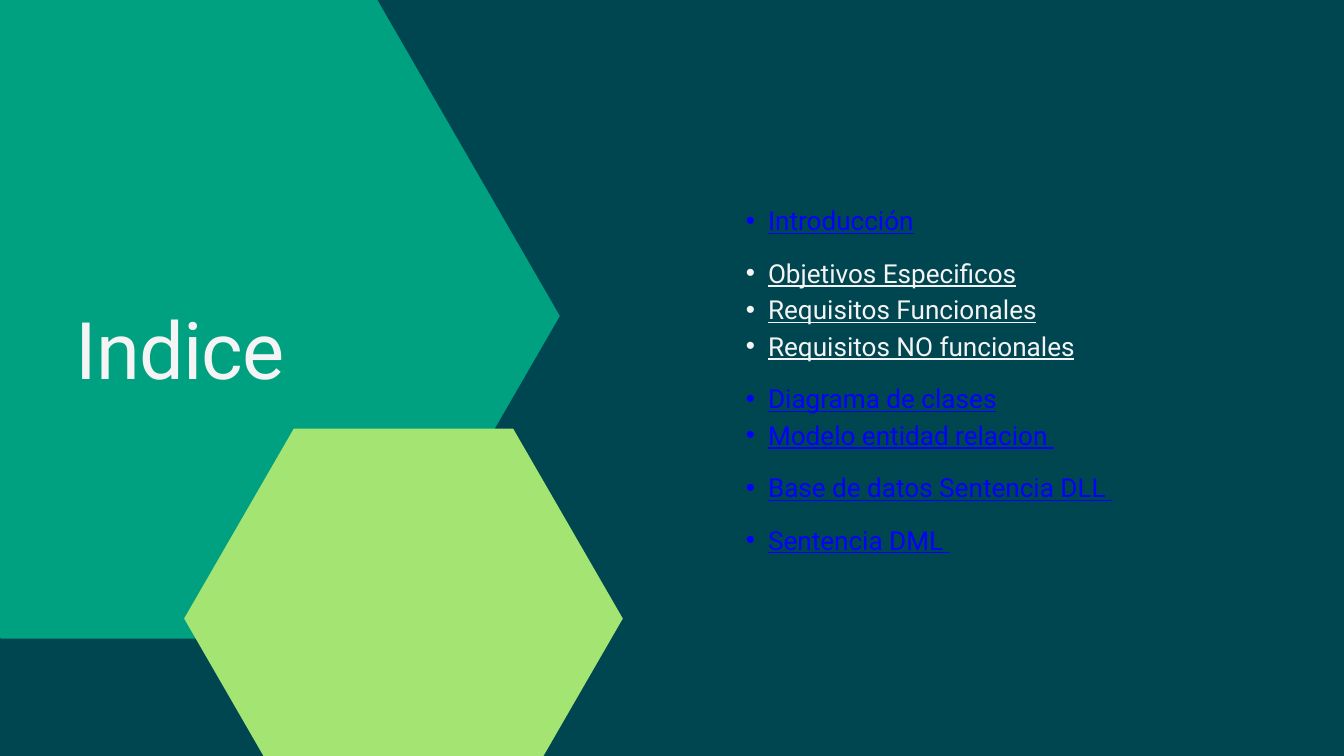
from math import sqrt
from lxml.etree import SubElement
from pptx import Presentation
from pptx.dml.color import RGBColor
from pptx.enum.text import MSO_ANCHOR, MSO_AUTO_SIZE, PP_ALIGN
from pptx.oxml.ns import qn
from pptx.util import Pt

TITLE = "Indice"
WHITE, BLUE = "F4F4F4", "0000FF"
GROUPS = [
    (BLUE, ["Introducción"]),
    (WHITE, ["Objetivos Especificos", "Requisitos Funcionales",
             "Requisitos NO funcionales"]),
    (BLUE, ["Diagrama de clases", "Modelo entidad relacion "]),
    (BLUE, ["Base de datos Sentencia DLL "]),
    (BLUE, ["Sentencia DML "]),
]
HEXES = [
    (-198.7, -7.2, 798.5, "00A181"),
    (197.3, 459.2, 470, "A4E473"),
]
LINE, GAP = 39.2, 16.9
INDENT, HANG = 47.5, 23.75


def paint(fill, color):
    fill.solid()
    fill.fore_color.rgb = RGBColor.from_string(color)


def add_hex(slide, left, top, width, color):
    high = width * sqrt(3) / 2
    spots = [(1, 0.5), (0.75, 1), (0.25, 1), (0, 0.5), (0.25, 0), (0.75, 0)]
    points = [(Pt(left + x * width), Pt(top + y * high)) for x, y in spots]
    path = slide.shapes.build_freeform(*points[0])
    path.add_line_segments(points[1:], close=True)
    shape = path.convert_to_shape()
    shape.shadow.inherit = False
    shape.line.fill.background()
    paint(shape.fill, color)
    return shape


def place(holder, left, top, width, height):
    holder.left, holder.top = Pt(left), Pt(top)
    holder.width, holder.height = Pt(width), Pt(height)
    frame = holder.text_frame
    frame.margin_left = frame.margin_right = 0
    frame.margin_top = frame.margin_bottom = 0
    frame.vertical_anchor = MSO_ANCHOR.TOP
    frame.auto_size = MSO_AUTO_SIZE.NONE
    frame.word_wrap = True
    return frame


def style(para, size, color, line, before=0):
    para.alignment = PP_ALIGN.LEFT
    para.line_spacing = Pt(line)
    para.space_before = Pt(before)
    para.space_after = Pt(0)
    font = para.runs[0].font
    font.name, font.size = "Roboto", Pt(size)
    paint(font.fill, color)
    return font


def add_bullet(para):
    props = para._p.get_or_add_pPr()
    props.set("marL", str(Pt(INDENT)))
    props.set("indent", str(Pt(-HANG)))
    SubElement(props, qn("a:buFont"), typeface="Arial")
    SubElement(props, qn("a:buChar"), char="•")


def main():
    deck = Presentation()
    deck.slide_width, deck.slide_height = Pt(1440), Pt(810)
    slide = deck.slides.add_slide(deck.slide_layouts[1])
    paint(slide.background.fill, "004651")

    title, body = slide.placeholders
    for spec in HEXES:
        title._element.addprevious(add_hex(slide, *spec)._element)

    frame = place(title, 80.6, 321.1, 351.4, 102)
    frame.text = TITLE
    font = style(frame.paragraphs[0], 85, WHITE, 102)
    font._element.set("spc", "-80")

    count = sum(len(names) for _, names in GROUPS)
    high = count * LINE + (len(GROUPS) - 1) * GAP
    frame = place(body, 775.4, 213.8, 481, high)
    frame.text = "\n".join(name for _, names in GROUPS for name in names)
    paras = iter(frame.paragraphs)
    for group, (color, names) in enumerate(GROUPS):
        for item in range(len(names)):
            para = next(paras)
            add_bullet(para)
            before = GAP if group and not item else 0
            style(para, 28, color, LINE, before).underline = True

    deck.save("out.pptx")


if __name__ == "__main__":
    main()
